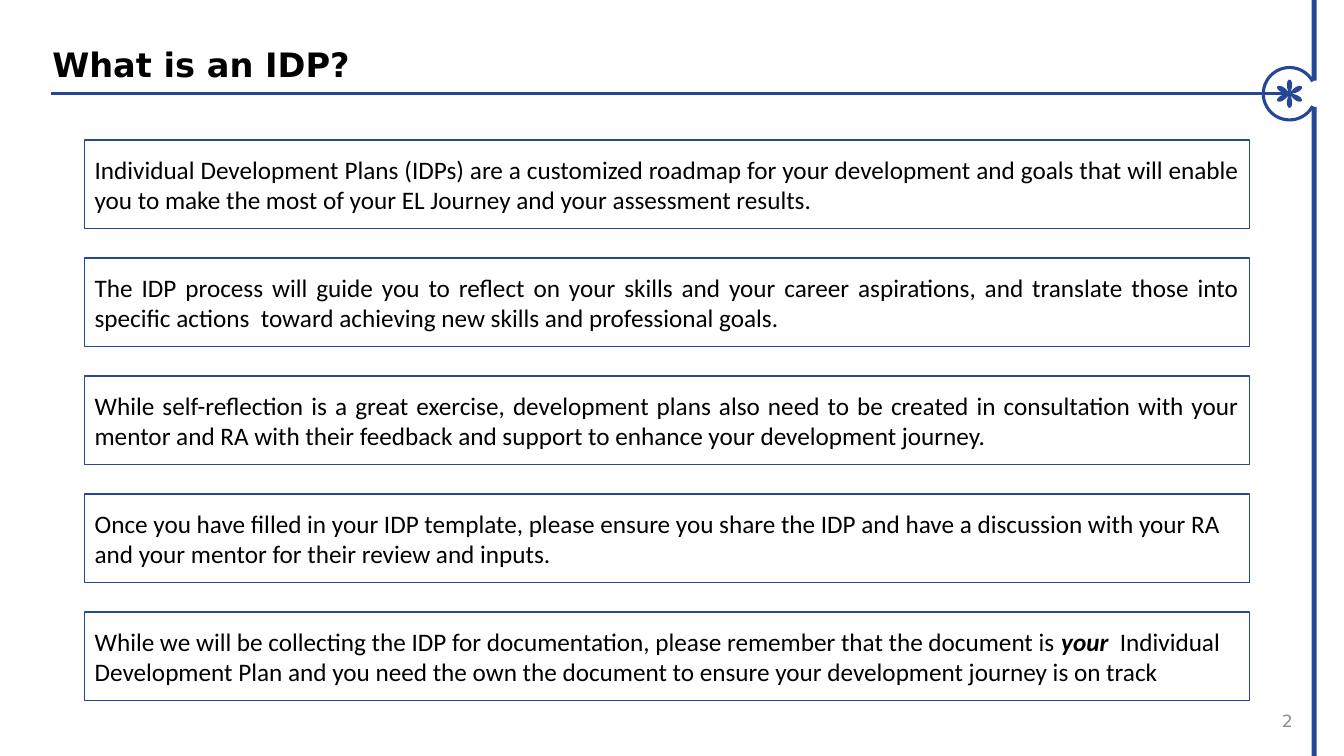
"""Build the slide that explains what an Individual Development Plan is."""
from math import cos, pi, sin

from pptx import Presentation
from pptx.dml.color import RGBColor
from pptx.enum.shapes import MSO_CONNECTOR, MSO_SHAPE
from pptx.enum.text import MSO_ANCHOR, MSO_AUTO_SIZE, PP_ALIGN
from pptx.oxml.ns import qn
from pptx.util import Inches, Pt

COLORS = {name: RGBColor.from_string(value) for name, value in {
    "blue": "264796", "text": "000000", "number": "8C8C8C"}.items()}


def style_run(run, font, size, color, bold=False, italic=False):
    run.font.name = font
    run.font.size = Pt(size)
    run.font.color.rgb = COLORS[color]
    run.font.bold = bold
    run.font.italic = italic


def fill_blue(shape):
    shape.shadow.inherit = False
    shape.fill.solid()
    shape.fill.fore_color.rgb = COLORS["blue"]
    shape.line.fill.background()


prs = Presentation()
prs.slide_width = Inches(13.33)
prs.slide_height = Inches(7.5)
slide = prs.slides.add_slide(prs.slide_layouts[6])
shapes = slide.shapes

center_x, center_y, radius = 12.79, 0.93, 0.26
title_rule = shapes.add_connector(
    MSO_CONNECTOR.STRAIGHT, Inches(0.51), Inches(center_y),
    Inches(center_x), Inches(center_y))
title_rule.line.color.rgb = COLORS["blue"]
title_rule.line.width = Pt(2.25)
properties = title_rule._element.spPr
properties.append(properties.makeelement(qn("a:effectLst"), {}))

ring = shapes.add_shape(
    MSO_SHAPE.ARC, Inches(center_x - radius), Inches(center_y - radius),
    Inches(2 * radius), Inches(2 * radius))
ring.shadow.inherit = False
ring.fill.background()
ring.line.color.rgb = COLORS["blue"]
ring.line.width = Pt(2.25)
ring.adjustments[0] = 28 * 0.6
ring.adjustments[1] = 332 * 0.6

petal_points = []
for step in range(120):
    angle = 2 * pi * step / 120
    reach = 0.14 * abs(sin(3 * angle))
    petal_points.append((Inches(center_x + reach * cos(angle)),
                         Inches(center_y + reach * sin(angle))))
petals = shapes.build_freeform(*petal_points[0])
petals.add_line_segments(petal_points[1:], close=True)
fill_blue(petals.convert_to_shape())

for top, bottom in ((0, 0.8), (1.06, 7.5)):
    fill_blue(shapes.add_shape(
        MSO_SHAPE.RECTANGLE, Inches(13.01), Inches(top),
        Inches(0.05), Inches(bottom - top)))

page_number = shapes.add_textbox(
    Inches(9.81), Inches(6.95), Inches(3.11), Inches(0.4)).text_frame
page_number.word_wrap = True
page_number.vertical_anchor = MSO_ANCHOR.MIDDLE
page_number.text = "2"
page_number.paragraphs[0].alignment = PP_ALIGN.RIGHT
style_run(page_number.paragraphs[0].runs[0], "DejaVu Sans", 12, "number")

statements = [
    (PP_ALIGN.JUSTIFY, ["Individual Development Plans (IDPs) are a customized roadmap for your development and goals that will enable you to make the most of your EL Journey and your assessment results."]),
    (PP_ALIGN.JUSTIFY, ["The IDP process will guide you to reflect on your skills and your career aspirations, and translate those into specific actions  toward achieving new skills and professional goals."]),
    (PP_ALIGN.JUSTIFY, ["While self-reflection is a great exercise, development plans also need to be created in consultation with your mentor and RA with their feedback and support to enhance your development journey."]),
    (PP_ALIGN.LEFT, ["Once you have filled in your IDP template, please ensure you share the IDP and have a discussion with your RA and your mentor for their review and inputs."]),
    (PP_ALIGN.LEFT, ["While we will be collecting the IDP for documentation, please remember that the document is ", "your ", " Individual Development Plan and you need the own the document to ensure your development journey is on track"]),
]
for row, (alignment, parts) in enumerate(statements):
    statement = shapes.add_shape(
        MSO_SHAPE.RECTANGLE, Inches(0.84), Inches(1.39 + 1.17 * row),
        Inches(11.55), Inches(0.88))
    statement.shadow.inherit = False
    statement.fill.background()
    statement.line.color.rgb = COLORS["blue"]
    statement.line.width = Pt(1)
    statement.text_frame.word_wrap = True
    statement.text_frame.vertical_anchor = MSO_ANCHOR.MIDDLE
    paragraph = statement.text_frame.paragraphs[0]
    paragraph.alignment = alignment
    for part in parts:
        run = paragraph.add_run()
        run.text = part
        emphasis = part == "your "
        style_run(run, "Calibri", 18, "text", emphasis, emphasis)

title = shapes.add_textbox(
    Inches(0.42), Inches(0.31), Inches(9.51), Inches(0.53)).text_frame
title.word_wrap = True
title.auto_size = MSO_AUTO_SIZE.SHAPE_TO_FIT_TEXT
title.text = "What is an IDP?"
title.paragraphs[0].line_spacing = 1.2
style_run(title.paragraphs[0].runs[0], "DejaVu Sans", 24, "text", bold=True)

prs.save("out.pptx")
